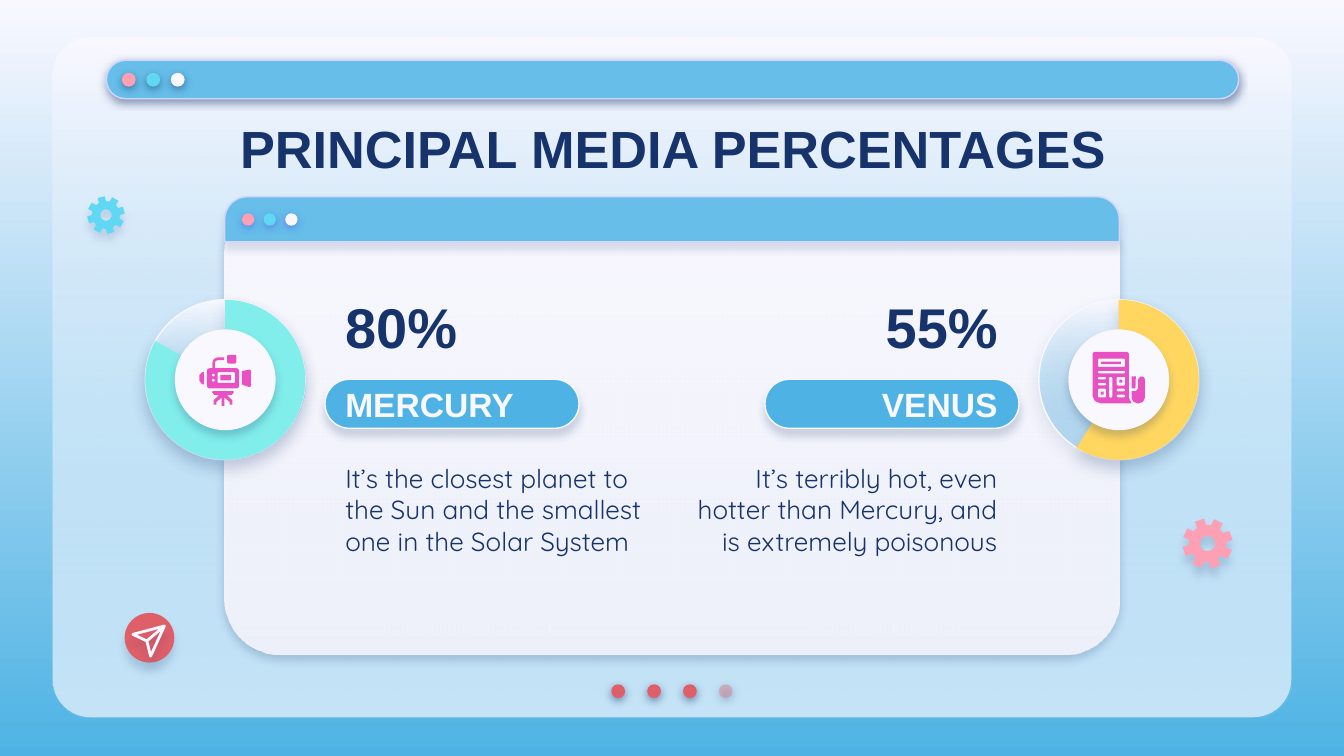
"""Build the slide of principal media percentages with two ring gauges."""
from math import cos, radians, sin

from lxml.etree import SubElement
from pptx import Presentation
from pptx.dml.color import RGBColor
from pptx.enum.shapes import MSO_SHAPE as Preset
from pptx.enum.text import MSO_ANCHOR as Anchor, MSO_AUTO_SIZE as AutoSize, PP_ALIGN as Align
from pptx.oxml.ns import qn
from pptx.util import Pt

NAVY = RGBColor(0x17, 0x33, 0x6B)
INDIGO = RGBColor(0x53, 0x52, 0xEE)
WHITE = RGBColor(0xF9, 0xF8, 0xFF)
SKY = RGBColor(0x4E, 0xB3, 0xE4)
BLUE = RGBColor(0x66, 0xBE, 0xE9)
LILAC = RGBColor(0xD2, 0xD6, 0xFF)
CYAN = RGBColor(0x60, 0xD8, 0xF4)
AQUA = RGBColor(0x81, 0xEE, 0xEB)
YELLOW = RGBColor(0xFF, 0xD6, 0x5F)
PINK = RGBColor(0xFD, 0xA0, 0xB4)
RED = RGBColor(0xDF, 0x5F, 0x69)
ROSE = RGBColor(0xE2, 0x7B, 0x83)
MAGENTA = RGBColor(0xE9, 0x51, 0xC2)

DOT_SHADOW = (NAVY, 50, 4.5, 1.5)
SOFT_SHADOW = (NAVY, 18, 4.5, 3.8)
RING_SHADOW = (NAVY, 17, 7.9, 4.5)
ICON_SHADOW = (NAVY, 16, 4.5, 4.5)
HEADING = {"name": "Arial", "bold": True, "color": NAVY}
PERCENT = HEADING | {"size": Pt(30)}
NAME = HEADING | {"size": Pt(18), "color": WHITE}
BODY = {"name": "Quicksand", "bold": False, "color": NAVY, "size": Pt(14)}
RING, HUB, RING_TOP = 85.7, 54, 160.6


def set_gradient(fill, first, last):
    """Fill with a gradient running from top to bottom."""
    fill.gradient()
    fill.gradient_angle = 270
    for stop, color in zip(fill.gradient_stops, (first, last)):
        stop.color.rgb = color


def style(shape, fill=None, line=None, width=0.75, shadow=None, alpha=None):
    """Set fill, outline and shadow; alpha applies to the last fill colour."""
    if fill is None:
        shape.fill.background()
    elif isinstance(fill, RGBColor):
        shape.fill.solid()
        shape.fill.fore_color.rgb = fill
    else:
        set_gradient(shape.fill, *fill)
    properties = shape._element.spPr
    if alpha:
        color = properties.xpath("./a:solidFill//a:srgbClr | ./a:gradFill//a:srgbClr")[-1]
        SubElement(color, qn("a:alpha"), val=str(alpha * 1000))
    if line is None:
        shape.line.fill.background()
    else:
        shape.line.color.rgb = line
        shape.line.width = Pt(width)
    shape.shadow.inherit = False
    if shadow:
        tint, opacity, blur, distance = shadow
        outer = SubElement(properties.find(qn("a:effectLst")), qn("a:outerShdw"),
                           blurRad=str(Pt(blur)), dist=str(Pt(distance)),
                           dir="5400000", algn="bl", rotWithShape="0")
        color = SubElement(outer, qn("a:srgbClr"), val=str(tint))
        SubElement(color, qn("a:alpha"), val=str(opacity * 1000))


def add_preset(slide, preset, box, adjustments=(), **look):
    """Add a styled preset shape."""
    shape = slide.shapes.add_shape(preset, *map(Pt, box))
    for index, value in enumerate(adjustments):
        shape.adjustments[index] = value
    style(shape, **look)


def add_dots(slide, left, top, size, pitch, colors, shadow=DOT_SHADOW):
    """Add a row of equally spaced dots, the rose one see-through."""
    for index, color in enumerate(colors):
        add_preset(slide, Preset.OVAL, (left + index * pitch, top, size, size), fill=color,
                   shadow=shadow, alpha=44 if color == ROSE else None)


def add_outline(slide, *contours, closed=True, **look):
    """Add one freeform made of several contours; inner ones become holes."""
    builder = None
    for contour in contours:
        start, *rest = [(Pt(x), Pt(y)) for x, y in contour]
        if builder is None:
            builder = slide.shapes.build_freeform(*start, scale=1.0)
        else:
            builder.move_to(*start)
        builder.add_line_segments(rest, close=closed)
    style(builder.convert_to_shape(), **look)


def arc(x, y, radius, start, end, steps):
    """Return points along a circular arc, in degrees."""
    angles = [radians(start + (end - start) * step / steps) for step in range(steps + 1)]
    return [(x + radius * cos(angle), y + radius * sin(angle)) for angle in angles]


def rounded(left, top, width, height, radius=0.7):
    """Return the contour of a rounded rectangle."""
    near_x, far_x = left + radius, left + width - radius
    near_y, far_y = top + radius, top + height - radius
    corners = ((far_x, far_y), (near_x, far_y), (near_x, near_y), (far_x, near_y))
    return [point for index, (x, y) in enumerate(corners)
            for point in arc(x, y, radius, index * 90, index * 90 + 90, 4)]


def add_gear(slide, x, y, radius, phase, color, shadow):
    """Add a gear with eight teeth and a round hole."""
    teeth = []
    for center in range(phase, phase + 360, 45):
        for reach, turn in ((0.74, -15), (1, -11), (1, 11), (0.74, 15)):
            teeth += arc(x, y, radius * reach, center + turn, center + turn, 1)[:1]
    add_outline(slide, teeth, arc(x, y, radius * 0.3, 0, 360, 32), fill=color, shadow=shadow)


def add_camera(slide):
    """Add the video camera icon."""
    handle = [(113.8, 197.3), (113.8, 194.4), (114.6, 192.3), (116.6, 191.5), (120.2, 191.5),
              (120.2, 193), (116.6, 193), (115.6, 193.4), (115.2, 194.4), (115.2, 197.3)]
    holes = [rounded(113.6, top, 1.5, 1.5) for top in (200.2, 203)]
    cap = [(109.4, 199.4), (108.4, 199.4), (106.9, 200.9), (106.9, 204.1), (108.4, 205.9),
           (109.4, 205.9)]
    lens = [(129.6, 198.9), (133.4, 198), (134.4, 198.4), (134.4, 206.9), (133.6, 207.4),
            (129.6, 206)]
    leg = [(113.8, 209.5), (113.8, 210.4), (114.6, 211.4), (115.9, 211.7), (117.4, 211.7),
           (114.5, 214.4), (114.5, 216.8), (115.9, 216.8), (115.9, 215.4), (118.8, 212.9),
           (118.8, 217.4)]
    tripod = leg + [(239 - x, y) for x, y in reversed(leg)]
    body = [rounded(110.9, 197.3, 17.3, 10.8, 1.5), rounded(116.6, 199.4, 9.4, 5.8), handle]
    for part in ([rounded(121.7, 190.1, 5, 4.7, 1)], [rounded(118, 200.9, 5.8, 2.9, 0)],
                 body + holes, [cap], [lens], [tripod]):
        add_outline(slide, *part, fill=MAGENTA)


def add_newspaper(slide):
    """Add the newspaper and microphone icon."""
    microphone = [(606.2, 209.5), (608.6, 209.5), (609.8, 208.1), (609.8, 203), (611.3, 201.6),
                  (612.7, 202), (613.4, 203), (613.4, 213.1), (612.4, 215.3), (609.8, 216.2),
                  (607.3, 215.3), (606.2, 213.1)]
    cord = [(606.2, 201.6), (608.5, 201.6), (608.3, 208.1), (606.2, 208.1)]
    page = [(586.2, 188.6), (604, 188.6), (604.8, 189.4), (604.8, 213.1), (606.2, 216.1),
            (589.5, 216.1), (586.6, 214.9), (585.4, 212.4), (585.4, 189.4)]
    holes = [(588.2, 192.2, 14.6, 4.4), (588.2, 198.7, 14.6, 1.4), (594.2, 201.9, 1.7, 11.2)]
    holes += [(588.2, top, 4.4, height) for top, height in ((201.9, 1.4), (205.1, 1.4), (208.3, 4.7))]
    holes += [(598.2, top, 4.6, height) for top, height in ((201.9, 4.7), (208.3, 1.4), (211.5, 1.4))]
    squares = [[rounded(*box, 0)] for box in ((589.7, 193.7, 10.8, 1.4), (599.7, 203.4, 1.6, 1.6),
                                              (589.7, 209.8, 1.6, 1.6))]
    for part in ([microphone], *squares, [page] + [rounded(*hole) for hole in holes], [cord]):
        add_outline(slide, *part, fill=MAGENTA)


def write(shape, box, text, font, align, anchor=Anchor.MIDDLE, spacing=1.0):
    """Place a text shape in front and format its single paragraph."""
    shape._element.getparent().append(shape._element)
    for name, value in zip(("left", "top", "width", "height"), box):
        setattr(shape, name, Pt(value))
    frame = shape.text_frame
    frame.text = text
    margins = {f"margin_{side}": Pt(7.2) for side in ("left", "top", "right", "bottom")}
    settings = {"word_wrap": True, "auto_size": AutoSize.NONE, "vertical_anchor": anchor}
    for name, value in (margins | settings).items():
        setattr(frame, name, value)
    paragraph = frame.paragraphs[0]
    properties = paragraph._p.get_or_add_pPr()
    properties.set("marL", "0")
    properties.set("indent", "0")
    SubElement(properties, qn("a:buNone"))
    for name, value in {"alignment": align, "line_spacing": spacing, "space_before": Pt(0)}.items():
        setattr(paragraph, name, value)
    run_font = paragraph.runs[0].font
    for name, value in font.items():
        if name == "color":
            run_font.color.rgb = value
        else:
            setattr(run_font, name, value)


def add_entry(slide, right, holders, percent, name, text):
    """Add the pill, percentage, name and description of one side."""
    def place(left, top, width, height):
        return (541.6 - width if right else left, top, width, height)

    align = Align.RIGHT if right else Align.LEFT
    add_preset(slide, Preset.ROUNDED_RECTANGLE, (409.8 if right else 174.1, 203.2, 136.1, 26.3),
               (0.5,), fill=SKY, line=WHITE, shadow=SOFT_SHADOW)
    percent_box = slide.shapes.add_textbox(0, 0, 0, 0)
    write(percent_box, place(177.8, 147.6, 162.7, 54.7), percent, PERCENT, align)
    write(holders[0], place(177.8, 206.6, 128.2, 19.4), name, NAME, align)
    write(holders[1], place(177.8, 240.5, 175.7, 64.8), text, BODY, align, Anchor.TOP)


def add_ring(slide, left, end, color, add_icon):
    """Add a ring gauge filled clockwise from the top to an end angle."""
    box = (left, RING_TOP, RING, RING)
    add_preset(slide, Preset.OVAL, box, fill=(WHITE, BLUE), alpha=35, line=WHITE,
               shadow=RING_SHADOW)
    add_preset(slide, Preset.PIE, box, (270 * 0.6, end * 0.6), fill=color, shadow=RING_SHADOW)
    inset = (RING - HUB) / 2
    add_preset(slide, Preset.OVAL, (left + inset, RING_TOP + inset, HUB, HUB), fill=WHITE,
               shadow=(NAVY, 22, 4.5, 3))
    add_icon(slide)


def add_backdrop(slide):
    """Add the background, panel, title bar and inner window."""
    set_gradient(slide.background.fill, WHITE, SKY)
    panel = (28.2, 20.3, 663.6, 364)
    for look in ({"fill": WHITE}, {"fill": (WHITE, BLUE), "alpha": 35}):
        add_preset(slide, Preset.ROUNDED_RECTANGLE, panel, (0.056,), **look)
    add_dots(slide, 327.5, 366.6, 7.4, 19.2, (RED, RED, RED, ROSE))
    add_preset(slide, Preset.ROUNDED_RECTANGLE, (57, 32.3, 606.6, 20.6), (0.5,), fill=BLUE,
               line=LILAC, shadow=DOT_SHADOW)
    add_dots(slide, 65.3, 39, 7.4, 13.1, (PINK, CYAN, WHITE))
    add_preset(slide, Preset.ROUNDED_RECTANGLE, (120.2, 105.4, 479.6, 245), (0.124,),
               fill=(WHITE, WHITE), alpha=87, shadow=(NAVY, 22, 4.5, 3.8))
    add_preset(slide, Preset.ROUND_2_SAME_RECTANGLE, (120.4, 105.4, 479.2, 24.2), (0.5, 0),
               fill=BLUE, line=LILAC, shadow=(NAVY, 15, 4.5, 3.8))
    add_dots(slide, 129.6, 114.3, 6.6, 11.6, (PINK, CYAN, WHITE), (INDIGO, 50, 4.5, 1.5))


def main():
    """Build and save the slide."""
    presentation = Presentation()
    presentation.slide_width, presentation.slide_height = Pt(720), Pt(405)
    slide = presentation.slides.add_slide(presentation.slide_layouts[4])
    title, *holders = slide.placeholders
    add_backdrop(slide)
    add_entry(slide, False, holders[:2], "80%", "MERCURY",
              "It’s the closest planet to the Sun and the smallest one in the Solar System")
    add_entry(slide, True, holders[2:], "55%", "VENUS",
              "It’s terribly hot, even hotter than Mercury, and is extremely poisonous")
    write(title, (56.9, 54, 607, 45.4), "PRINCIPAL MEDIA PERCENTAGES",
          HEADING | {"size": Pt(28)}, Align.CENTER, spacing=1.15)
    add_ring(slide, 77.8, 209, AQUA, add_camera)
    add_ring(slide, 556.5, 121.8, YELLOW, add_newspaper)
    add_preset(slide, Preset.OVAL, (66.8, 328.4, 26.6, 26.6), fill=RED, shadow=ICON_SHADOW)
    notch, tip = (78.7, 343.4), (88.1, 335.4)
    add_outline(slide, [notch, (71.2, 339.9), tip, (80.7, 351.6), notch, tip], closed=False,
                line=WHITE, width=1.5, shadow=ICON_SHADOW)
    add_gear(slide, 646.9, 291.2, 13.5, 26, PINK, ICON_SHADOW)
    add_gear(slide, 56.8, 115.2, 10.1, 30, CYAN, (NAVY, 15, 4.5, 3.8))
    presentation.save("out.pptx")


if __name__ == "__main__":
    main()
